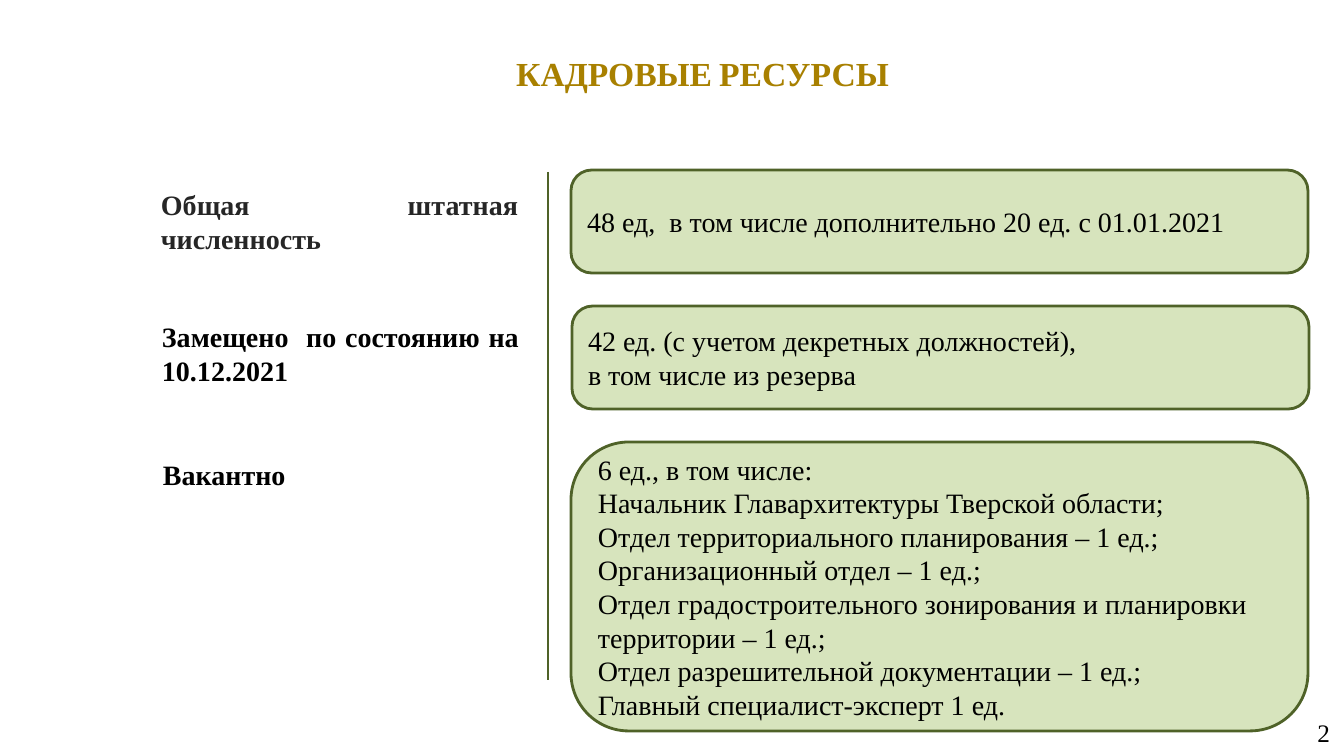
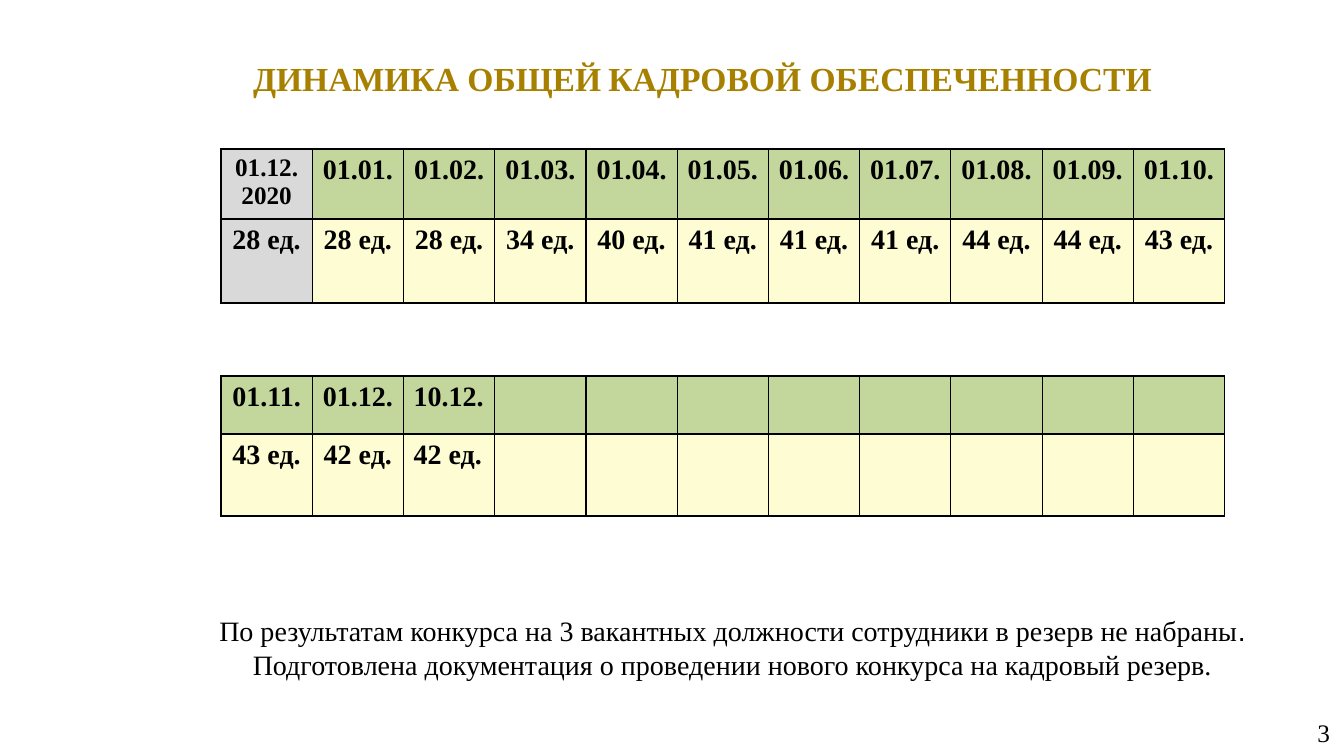
import pptx
import pptx.util
import pptx.dml.color
import pptx.enum.shapes
import pptx.enum.text
import pptx.oxml.ns
from lxml import etree

PX = 914400 / 100.8
Pt = pptx.util.Pt
Align = pptx.enum.text.PP_ALIGN
Anchor = pptx.enum.text.MSO_ANCHOR
Kind = pptx.enum.shapes.MSO_SHAPE
FONT = "Times New Roman"
HEX = {
    "gold": "A88000", "black": "000000", "dark": "262626", "olive": "4F6228",
    "pale": "D7E4BD", "green": "C3D69B", "cream": "FDFCD3", "gray": "D9D9D9",
}
color = {k: pptx.dml.color.RGBColor.from_string(v) for k, v in HEX.items()}


def px(*nums):
    return [round(n * PX) for n in nums]


def write(frame, lines, size=20, bold=False, ink="black", align=Align.LEFT,
          anchor=Anchor.TOP, inset=(10, 5)):
    """Fill a text frame; a line is a string or a list of (text, size) runs."""
    frame.word_wrap = True
    frame.auto_size = pptx.enum.text.MSO_AUTO_SIZE.NONE
    frame.vertical_anchor = anchor
    side, edge = px(*inset)
    frame.margin_left = frame.margin_right = side
    frame.margin_top = frame.margin_bottom = edge
    for i, line in enumerate(lines):
        para = frame.add_paragraph() if i else frame.paragraphs[0]
        para.alignment = align
        font = para.font
        font.name, font.size, font.bold = FONT, Pt(size), bold
        font.color.rgb = color[ink]
        for text, pts in [(line, size)] if isinstance(line, str) else line:
            run = para.add_run()
            run.text = text
            if pts != size:
                run.font.size = Pt(pts)


deck = pptx.Presentation()
deck.slide_width, deck.slide_height = px(1344, 756)

# Shared title and page number
heads = [
    (46, "КАДРОВЫЕ", "РЕСУРСЫ"),
    (51, "ДИНАМИКА ОБЩЕЙ", "КАДРОВОЙ ОБЕСПЕЧЕННОСТИ"),
]
pages = []
for num, (top, first, last) in enumerate(heads, 2):
    page = deck.slides.add_slide(deck.slide_layouts[5])
    title = page.shapes.title
    title.left, title.top, title.width, title.height = px(166, top, 1073, 53)
    write(title.text_frame, [[(first, 24), (" ", 20), (last, 24)]], 24, True,
          "gold", Align.CENTER, inset=(13, 7))
    foot = page.shapes.add_textbox(*px(1030, 713, 313, 39))
    write(foot.text_frame, [str(num)], 18, align=Align.RIGHT,
          anchor=Anchor.MIDDLE, inset=(13, 7))
    pages.append(page)
staff, trend = pages

# Staff: dividing line
x, top, end = px(548, 172, 680)
rule = staff.shapes.add_connector(pptx.enum.shapes.MSO_CONNECTOR.STRAIGHT,
                                  x, top, x, end)
rule.line.color.rgb = color["olive"]
rule.line.width = Pt(2)
etree.SubElement(rule._element.spPr, pptx.oxml.ns.qn("a:effectLst"))

# Staff: labels and boxes
rows = [
    ("Общая штатная численность", "dark", (151, 183), (571, 170, 103),
     ["48 ед,  в том числе дополнительно 20 ед. с 01.01.2021"]),
    ("Замещено  по состоянию на 10.12.2021", "black", (152, 315), (572, 306, 103),
     ["42 ед. (с учетом декретных должностей),", "в том числе из резерва"]),
    ("Вакантно", "black", (153, 453), (571, 442, 289),
     ["6 ед., в том числе:",
      "Начальник Главархитектуры Тверской области;",
      "Отдел территориального планирования – 1 ед.;",
      "Организационный отдел – 1 ед.;",
      "Отдел градостроительного зонирования и планировки территории – 1 ед.;",
      "Отдел разрешительной документации – 1 ед.;",
      "Главный специалист-эксперт 1 ед."]),
]
for label, ink, spot, (left, top, high), lines in rows:
    name = staff.shapes.add_textbox(*px(*spot, 377, 77))
    write(name.text_frame, [label], bold=True, ink=ink, align=Align.JUSTIFY)
    box = staff.shapes.add_shape(Kind.ROUNDED_RECTANGLE,
                                 *px(left, top, 737, high))
    box.adjustments[0] = 0.2
    box.shadow.inherit = False
    box.fill.solid()
    box.fill.fore_color.rgb = color["pale"]
    box.line.color.rgb = color["olive"]
    box.line.width = Pt(2)
    write(box.text_frame, lines, anchor=Anchor.MIDDLE)

# Trend: two tables on the same columns
COLS = 11
grids = [
    (149, (70, 84),
     ["01.12.2020"] + [f"{m:02}.01."[3:] and f"01.{m:02}." for m in range(1, 11)],
     [28, 28, 28, 34, 40, 41, 41, 41, 44, 44, 43]),
    (376, (58, 82), ["01.11.", "01.12.", "10.12."], [43, 42, 42]),
]
for top, highs, dates, counts in grids:
    table = trend.shapes.add_table(2, COLS, *px(221, top, 1004, sum(highs))).table
    table.first_row = table.horz_banding = False
    for col in table.columns:
        col.width = px(1004)[0] // COLS
    texts = [dates, [f"{n} ед." for n in counts]]
    for r, line in enumerate(texts):
        table.rows[r].height = px(highs[r])[0]
        for c in range(COLS):
            cell = table.cell(r, c)
            past = dates[0] == "01.12.2020" and c == 0
            fill = "gray" if past else ("green", "cream")[r]
            cell.fill.solid()
            cell.fill.fore_color.rgb = color[fill]
            if c < len(line):
                para = cell.text_frame.paragraphs[0]
                para.text = line[c]
                para.alignment = Align.LEFT if line[c:] and dates[c] == "10.12." else Align.CENTER
                font = para.font
                font.name, font.bold = FONT, True
                font.size = Pt(18 if past and r == 0 else 20)
                font.color.rgb = color["black"]
            # Borders stand before the fill in the cell properties
            props = cell._tc.get_or_add_tcPr()
            for i, side in enumerate(("lnL", "lnR", "lnT", "lnB")):
                edge = etree.Element(pptx.oxml.ns.qn("a:" + side), w="12192")
                solid = etree.SubElement(edge, pptx.oxml.ns.qn("a:solidFill"))
                etree.SubElement(solid, pptx.oxml.ns.qn("a:srgbClr"),
                                 val=HEX["black"])
                props.insert(i, edge)

# Trend: closing note
note = trend.shapes.add_textbox(*px(187, 609, 1091, 82))
write(note.text_frame, [
    [("По результатам конкурса на 3 вакантных должности сотрудники в резерв не набраны", 20),
     (".", 20)],
    "Подготовлена документация о проведении нового конкурса на кадровый резерв.",
], align=Align.CENTER)
note.text_frame.paragraphs[0].runs[1].font.name = "Arial"

deck.save("out.pptx")
